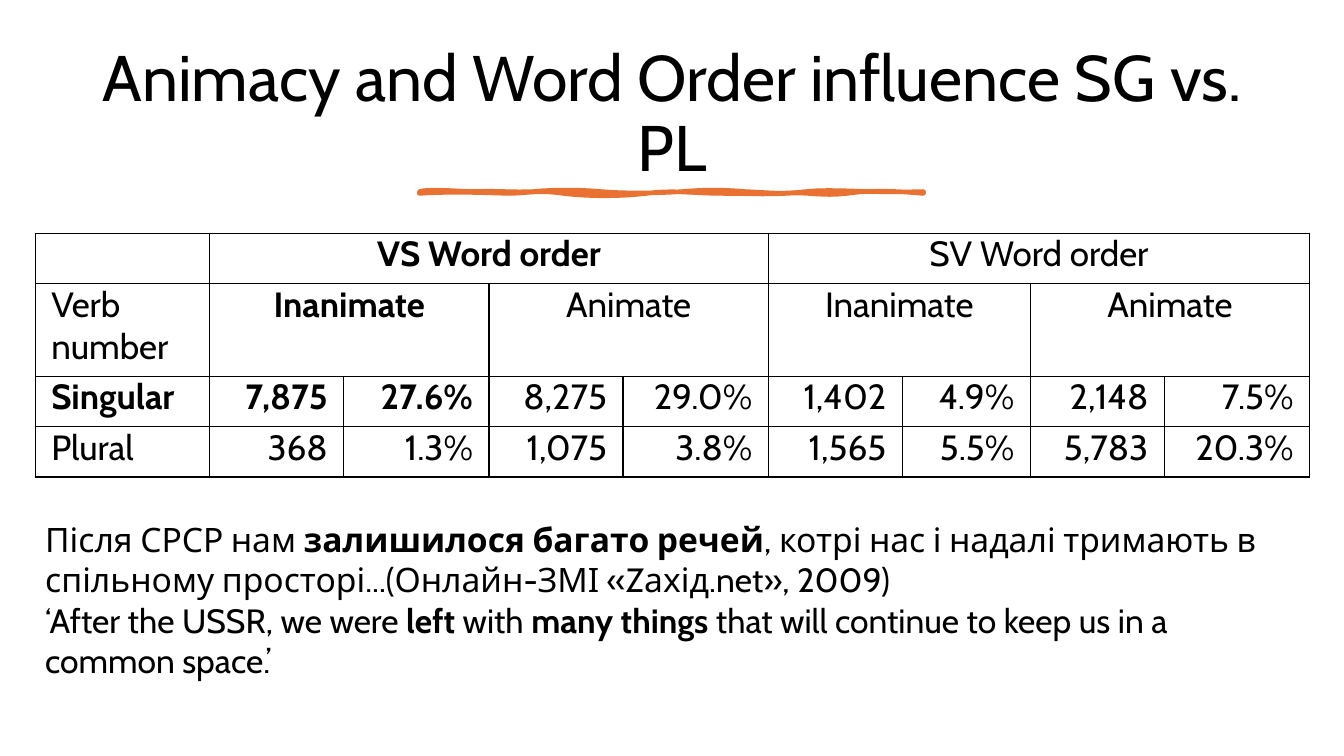
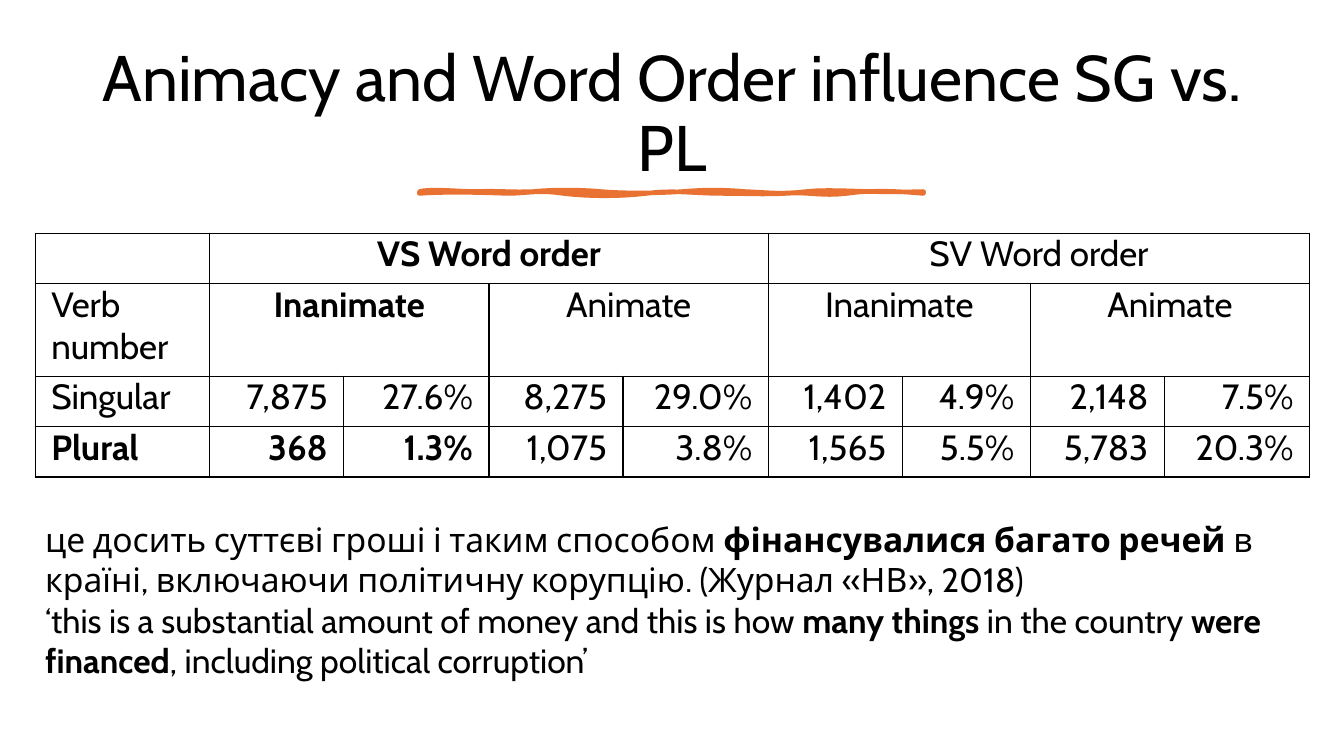
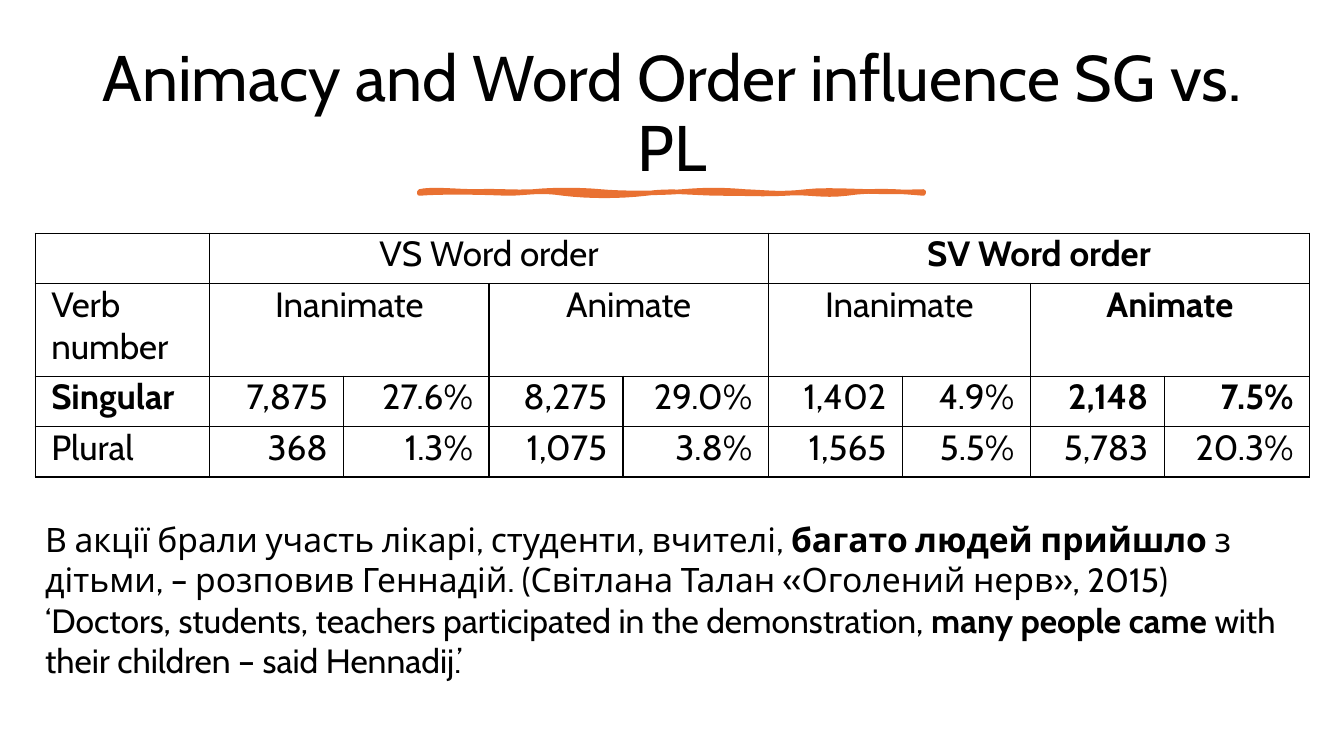
from lxml.etree import SubElement
from pptx import Presentation
from pptx.dml.color import RGBColor
from pptx.enum.text import MSO_ANCHOR as Anchor, PP_ALIGN as Align
from pptx.oxml.ns import qn
from pptx.util import Pt

# Shared look
FONT = "Cabin"
BLACK = "000000"
ORANGE = "E97132"
MARGIN = 25.2
CONTENT_WIDTH = 909.4
TITLE = "Animacy and Word Order influence SG vs. PL"

# Hand-drawn rule: each row holds two control points and an end point
RULE_LEFT, RULE_TOP = 299.5, 136.8
RULE_CURVES = [
    ((8.6, -2.2), (27.4, 0), (41, 0)),
    ((54.7, -0.7), (67, 0.7), (81.4, 0)),
    ((95.8, -1.4), (113.8, -1.4), (129.6, 0)),
    ((144.7, 1.4), (170.6, 1.4), (187.9, 0)),
    ((205.9, -1.4), (214.6, -1.4), (232.6, 0)),
    ((249.8, 0.7), (257.8, 2.2), (276.5, 0)),
    ((295.2, -2.2), (324.7, 1.4), (360, 0)),
    ((360.7, 0.7), (360, 0.7), (360, 1.4)),
    ((344.9, 0), (323.3, -1.4), (305.3, 1.4)),
    ((287.3, 3.6), (277.2, 0), (261.4, 1.4)),
    ((244.8, 2.2), (235.4, 1.4), (216.7, 1.4)),
    ((195.1, 1.4), (180.7, -1.4), (162, 1.4)),
    ((142.6, 3.6), (121.7, 3.6), (103, 1.4)),
    ((85, -1.4), (77, 1.4), (62.6, 1.4)),
    ((48.2, 0.7), (15.8, 0), (0, 1.4)),
]

# Table content
COLUMN_WIDTHS = [124.6, 95.8, 103.7, 95.8, 103.7, 95.8, 91.4, 95.8, 103.7]
ROW_HEIGHTS = [36, 66.2, 36, 36]
ORDERS = ["VS Word order", "SV Word order"]
ANIMACY = ["Inanimate", "Animate"] * 2
COUNTS = [
    ["Singular", "7,875", "27.6%", "8,275", "29.0%", "1,402", "4.9%", "2,148", "7.5%"],
    ["Plural", "368", "1.3%", "1,075", "3.8%", "1,565", "5.5%", "5,783", "20.3%"],
]

# One slide each: column group and count row in bold, then the example
# sentence and its translation, with *bold* marks
SLIDES = [
    (0, 0, [
        "Після СРСР нам *залишилося багато речей*, котрі нас і надалі тримають в "
        "спільному просторі...(Онлайн-ЗМІ «Zахід.net», 2009)",
        "‘After the USSR, we were *left* with *many things* that will continue "
        "to keep us in a common space.’",
    ]),
    (0, 1, [
        "це досить суттєві гроші і таким способом *фінансувалися багато речей* в "
        "країні, включаючи політичну корупцію. (Журнал «НВ», 2018)",
        "‘this is a substantial amount of money and this is how *many things* in "
        "the country *were financed*, including political corruption’",
    ]),
    (3, 0, [
        "В акції брали участь лікарі, студенти, вчителі, *багато людей прийшло* з "
        "дітьми, – розповив Геннадій. (Світлана Талан «Оголений нерв», 2015)",
        "‘Doctors, students, teachers participated in the demonstration, "
        "*many people came* with their children – said Hennadij.’",
    ]),
]


def color(value):
    return RGBColor.from_string(value)


def write(frame, lines, size=24, align=Align.LEFT, bold=False, spacing=None):
    """Fill a text frame; parts between asterisks are bold."""
    frame.word_wrap = True
    for index, line in enumerate(lines):
        para = frame.add_paragraph() if index else frame.paragraphs[0]
        para.alignment = align
        para.line_spacing = spacing
        for part, text in enumerate(line.split("*")):
            span = para.add_run()
            span.text = text
            span.font.name = FONT
            span.font.size = Pt(size)
            span.font.bold = bold or part % 2 == 1
            span.font.color.rgb = color(BLACK)


def add_text(page, lines, left, top, width, height, anchor=Anchor.TOP, **style):
    box = page.shapes.add_textbox(Pt(left), Pt(top), Pt(width), Pt(height))
    write(box.text_frame, lines, **style)
    box.text_frame.vertical_anchor = anchor


def curve_points(start, curves, steps=8):
    """Points along a chain of cubic curves."""
    for first, second, end in curves:
        for step in range(1, steps + 1):
            t = step / steps
            u = 1 - t
            yield tuple(
                u**3 * a + 3 * u * u * t * b + 3 * u * t * t * c + t**3 * d
                for a, b, c, d in zip(start, first, second, end)
            )
        start = end


def add_rule(page):
    points = [(Pt(RULE_LEFT + x), Pt(RULE_TOP + y))
              for x, y in curve_points((0, 0), RULE_CURVES)]
    builder = page.shapes.build_freeform(Pt(RULE_LEFT), Pt(RULE_TOP))
    builder.add_line_segments(points, close=True)
    rule = builder.convert_to_shape()
    rule.shadow.inherit = False
    rule.fill.solid()
    rule.fill.fore_color.rgb = color(ORANGE)
    rule.line.color.rgb = color(ORANGE)
    rule.line.width = Pt(3.25)


def style_cell(cell):
    """Black borders, no fill, wide side margins."""
    cell.margin_left = cell.margin_right = Pt(11.5)
    cell.margin_top = cell.margin_bottom = 0
    properties = cell._tc.get_or_add_tcPr()
    for side in ("a:lnL", "a:lnR", "a:lnT", "a:lnB"):
        border = SubElement(properties, qn(side), w=str(Pt(1)))
        fill = SubElement(border, qn("a:solidFill"))
        SubElement(fill, qn("a:srgbClr"), val=BLACK)
    cell.fill.background()


def add_counts_table(page, focus_group, focus_row):
    table = page.shapes.add_table(
        len(ROW_HEIGHTS), len(COLUMN_WIDTHS), Pt(MARGIN), Pt(166.5),
        Pt(sum(COLUMN_WIDTHS)), Pt(sum(ROW_HEIGHTS))).table
    table.first_row = table.horz_banding = False
    for column, width in zip(table.columns, COLUMN_WIDTHS):
        column.width = Pt(width)
    for row, height in zip(table.rows, ROW_HEIGHTS):
        row.height = Pt(height)
    for cell in table.iter_cells():
        style_cell(cell)

    def put(row, column, text, align=Align.LEFT, bold=False):
        write(table.cell(row, column).text_frame, [text], size=25, align=align, bold=bold)

    # Header rows: merged groups
    for row, labels, span in ((0, ORDERS, 4), (1, ANIMACY, 2)):
        for index, label in enumerate(labels):
            first = 1 + index * span
            table.cell(row, first).merge(table.cell(row, first + span - 1))
            put(row, first, label, Align.CENTER, index == focus_group * 2 // span)
    put(1, 0, "Verb number")

    # Count rows
    for index, values in enumerate(COUNTS):
        for column, value in enumerate(values):
            in_focus = column == 0 or (column - 1) // 2 == focus_group
            put(index + 2, column, value, Align.RIGHT if column else Align.LEFT,
                index == focus_row and in_focus)


def main():
    deck = Presentation()
    deck.slide_width, deck.slide_height = Pt(960), Pt(540)
    for focus_group, focus_row, example in SLIDES:
        page = deck.slides.add_slide(deck.slide_layouts[6])
        add_text(page, [TITLE], 50.4, 33.1, 859, 98.6, anchor=Anchor.MIDDLE,
                 size=46, align=Align.CENTER, spacing=0.9)
        add_rule(page)
        add_counts_table(page, focus_group, focus_row)
        add_text(page, example, MARGIN, 367.2, CONTENT_WIDTH, 145.4)
    deck.save("out.pptx")


if __name__ == "__main__":
    main()
